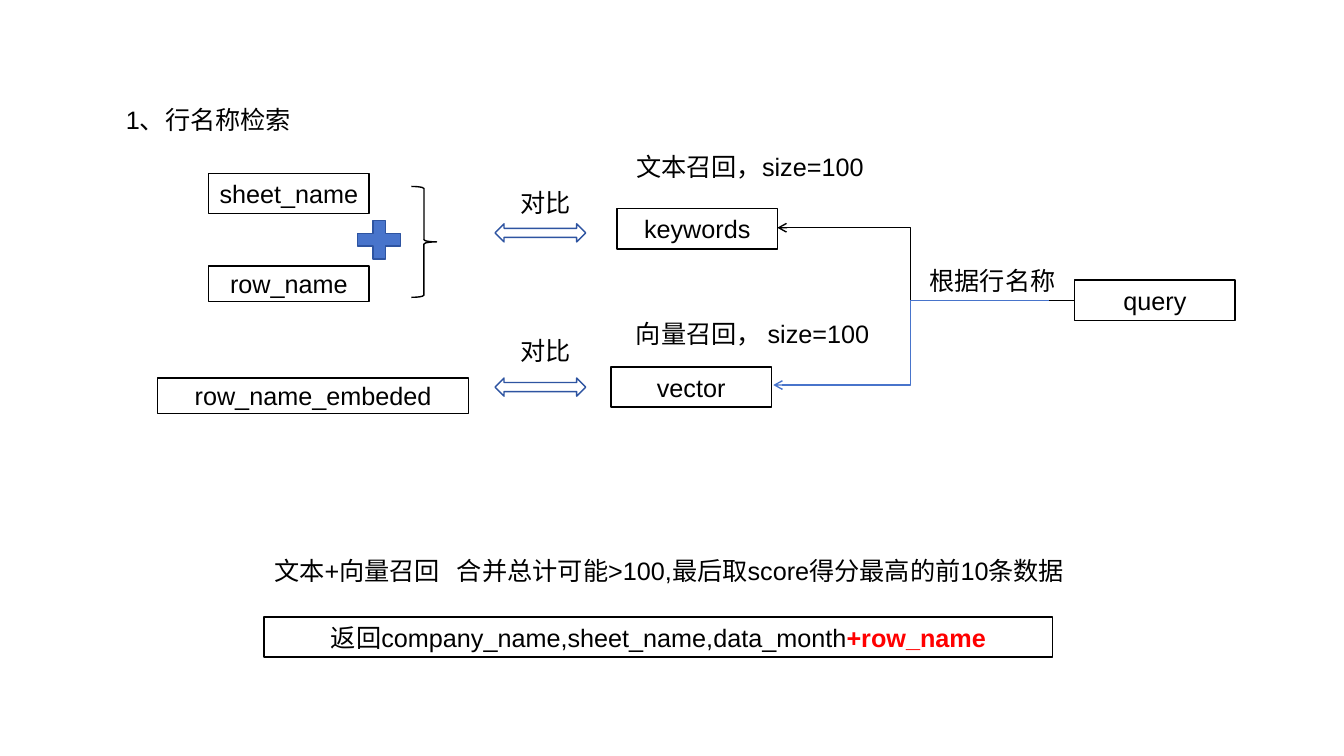
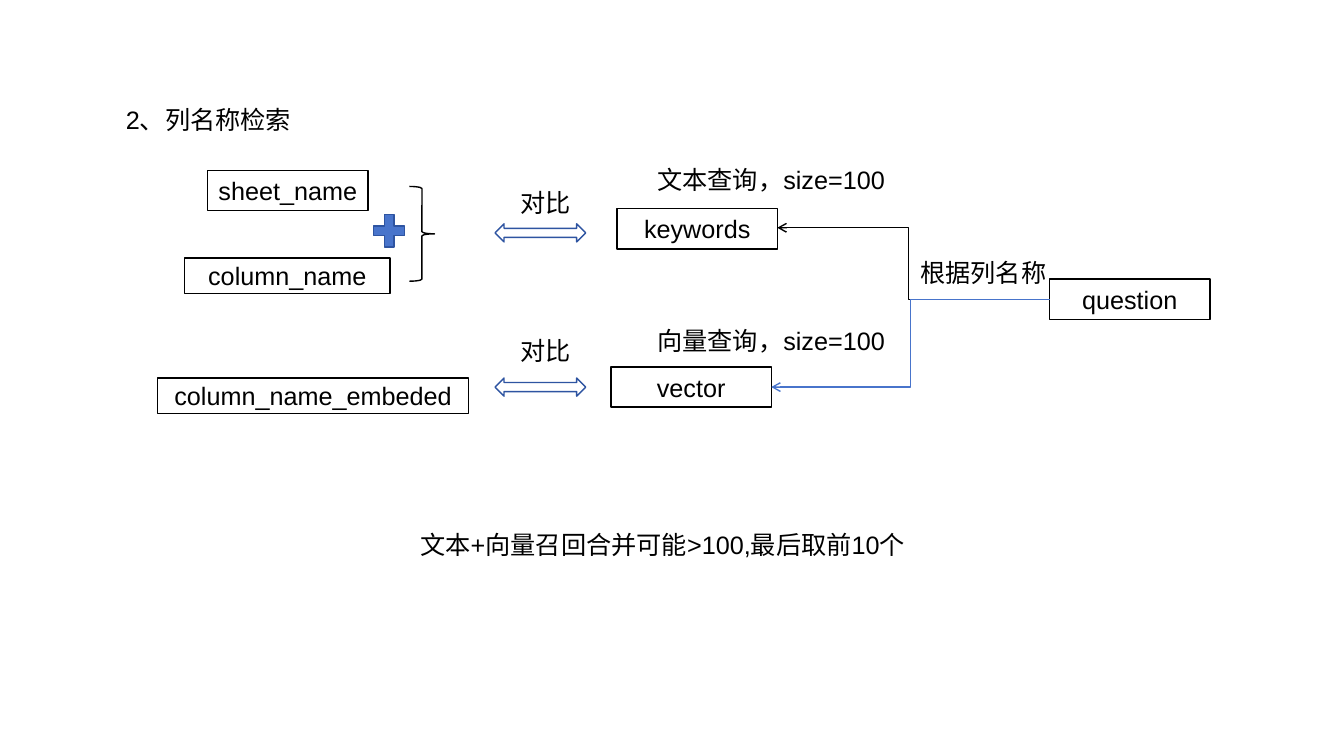
from lxml import etree
from pptx import Presentation
from pptx import util as u
from pptx.dml.color import RGBColor
from pptx.enum import shapes, text
from pptx.oxml.ns import qn

COLORS = {"ink": "000000", "blue": "4874CB", "edge": "2E54A1", "hot": "FF0000"}
FONT = {"name": "Arial", "size": u.Pt(18)}
FRAME = {"word_wrap": True}
KIND = shapes.MSO_SHAPE
BOX_W, BOX_H, LOW_H = 1.59, 0.4, 0.35

# Parts found on both slides: (words, left, top, width[, height])
BOXES = [("keywords", 6.12, 2.07, BOX_W, BOX_H), ("vector", 6.06, 3.64, BOX_W, BOX_H)]
NOTES = [("对比", 5.06, 1.81, 1.06), ("对比", 5.06, 3.28, 0.82)]
ARROWS = [(4.91, top, 0.9, 0.18) for top in (2.22, 3.75)]

# Links: (start, turn x, end, colour)
SLIDES = [
    {
        "boxes": [
            ("sheet_name", 2.07, 1.72, BOX_W, BOX_H),
            ("row_name", 2.07, 2.64, BOX_W, LOW_H),
            ("query", 10.66, 2.78, BOX_W, BOX_H),
            ("row_name_embeded", 1.56, 3.75, 3.09, LOW_H),
            ("返回company_name,sheet_name,data_month|+row_name", 2.62, 6.12, 7.82, BOX_H),
        ],
        "notes": [
            ("1、行名称检索", 1.15, 0.99, 4.44),
            ("文本召回，size=100", 6.21, 1.45, 2.55),
            ("向量召回， size=100", 6.21, 3.11, 2.64),
            ("根据行名称", 9.12, 2.58, 1.85),
            ("文本+向量召回   合并总计可能>100,最后取score得分最高的前10条数据", 2.62, 5.46, 8.35),
        ],
        "links": [
            ((10.66, 2.98), 9.03, (7.71, 2.26), "ink"),
            ((10.4, 2.98), 9.03, (7.67, 3.82), "blue"),
        ],
        "plus": (3.47, 2.12, 0.58, 0.52),
        "brace": (4.08, 1.85, 0.25, 1.1),
    },
    {
        "boxes": [
            ("sheet_name", 2.06, 1.69, BOX_W, BOX_H),
            ("column_name", 1.83, 2.56, 2.04, LOW_H),
            ("question", 10.41, 2.77, BOX_W, BOX_H),
            ("column_name_embeded", 1.56, 3.75, 3.09, LOW_H),
        ],
        "notes": [
            ("2、列名称检索", 1.15, 0.99, 4.44),
            ("文本查询，size=100", 6.42, 1.58, 2.55),
            ("向量查询，size=100", 6.42, 3.18, 2.61),
            ("根据列名称", 9.03, 2.5, 1.57),
            ("文本+向量召回合并可能>100,最后取前10个", 4.07, 5.2, 6.35),
        ],
        "links": [
            ((10.41, 2.97), 9.01, (7.71, 2.26), "ink"),
            ((10.41, 2.97), 9.03, (7.65, 3.84), "blue"),
        ],
        "plus": (3.65, 2.07, 0.42, 0.44),
        "brace": (4.06, 1.85, 0.25, 0.94),
    },
]


def rgb(name):
    return RGBColor.from_string(COLORS[name])


def inches(vals):
    return [u.Inches(val) for val in vals]


def assign(item, vals):
    for key, val in vals.items():
        setattr(item, key, val)


def write(frame, words, align=None):
    """Write one paragraph; the part after a bar is bold and red."""
    assign(frame, FRAME)
    para = frame.paragraphs[0]
    para.alignment = align
    for pos, part in enumerate(words.split("|")):
        run = para.add_run()
        run.text = part
        assign(run.font, FONT)
        run.font.color.rgb = rgb("hot" if pos else "ink")
        if pos:
            run.font.bold = True


def draw(page, kind, area, edge, fill=None):
    shape = page.shapes.add_shape(kind, *inches(area))
    shape.shadow.inherit = False
    if fill:
        shape.fill.solid()
        shape.fill.fore_color.rgb = rgb(fill)
    else:
        shape.fill.background()
    shape.line.color.rgb = rgb(edge)
    shape.line.width = u.Pt(1)
    return shape


def box(page, words, *area):
    frame = draw(page, KIND.RECTANGLE, area, "ink").text_frame
    frame.vertical_anchor = text.MSO_ANCHOR.MIDDLE
    write(frame, words, text.PP_ALIGN.CENTER)


def note(page, words, left, top, width):
    frame = page.shapes.add_textbox(*inches((left, top, width, BOX_H))).text_frame
    frame.auto_size = text.MSO_AUTO_SIZE.SHAPE_TO_FIT_TEXT
    write(frame, words)


def link(page, start, turn, end, color):
    line = page.shapes.add_connector(shapes.MSO_CONNECTOR.ELBOW, *inches(start + end))
    line.line.color.rgb = rgb(color)
    line.line.width = u.Pt(1)
    # Bend position, arrowhead and no shadow
    props = line._element.spPr
    bend = round((start[0] - turn) / (start[0] - end[0]) * 100000)
    guides = props.find(qn("a:prstGeom")).get_or_add_avLst()
    etree.SubElement(guides, qn("a:gd"), name="adj1", fmla=f"val {bend}")
    etree.SubElement(props.find(qn("a:ln")), qn("a:tailEnd"), type="arrow")
    etree.SubElement(props, qn("a:effectLst"))


def build(deck, data):
    page = deck.slides.add_slide(deck.slide_layouts[6])
    for item in BOXES + data["boxes"]:
        box(page, *item)
    for item in data["links"]:
        link(page, *item)
    for area in ARROWS:
        draw(page, KIND.LEFT_RIGHT_ARROW, area, "edge")
    for item in NOTES + data["notes"]:
        note(page, *item)
    draw(page, KIND.MATH_PLUS, data["plus"], "edge", "blue")
    draw(page, KIND.RIGHT_BRACE, data["brace"], "ink")


def main():
    deck = Presentation()
    assign(deck, {"slide_width": u.Inches(13.33), "slide_height": u.Inches(7.5)})
    for data in SLIDES:
        build(deck, data)
    deck.save("out.pptx")


if __name__ == "__main__":
    main()
